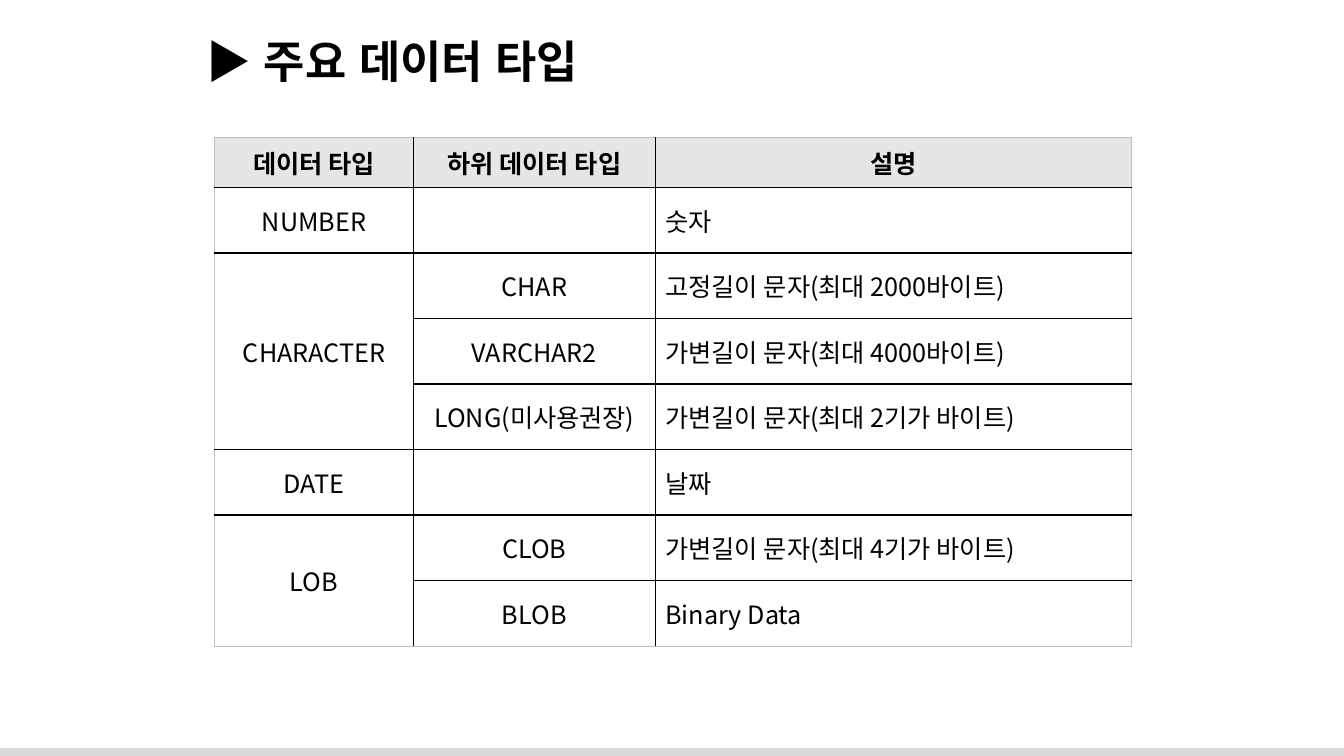
from dataclasses import dataclass

from lxml.etree import SubElement
from pptx import Presentation
from pptx.dml.color import RGBColor
from pptx.enum.shapes import MSO_SHAPE
from pptx.enum.text import MSO_ANCHOR, PP_ALIGN
from pptx.oxml.ns import qn
from pptx.util import Inches, Pt


@dataclass(frozen=True)
class Theme:
    """Colours, fonts and type sizes of the slide."""
    ink: str = "000000"
    header: str = "E7E6E6"
    frame: str = "BFBFBF"
    footer: str = "D9D9D9"
    title_font: str = "Arial"
    body_font: str = "Noto Sans CJK KR"
    title_size: int = 32
    body_size: int = 18


THEME = Theme()
COLUMN_WIDTHS = (1.97, 2.4, 4.72)
HEADER_HEIGHT, ROW_HEIGHT = 0.5, 0.65
DATA_TYPES = (
    ("데이터 타입", "하위 데이터 타입", "설명"),
    ("NUMBER", "", "숫자"),
    ("CHARACTER", "CHAR", "고정길이 문자(최대 2000바이트)"),
    ("", "VARCHAR2", "가변길이 문자(최대 4000바이트)"),
    ("", "LONG(미사용권장)", "가변길이 문자(최대 2기가 바이트)"),
    ("DATE", "", "날짜"),
    ("LOB", "CLOB", "가변길이 문자(최대 4기가 바이트)"),
    ("", "BLOB", "Binary Data"),
)
TYPE_GROUPS = ((2, 4), (6, 7))


def format_paragraph(para, typeface, size, bold, align):
    """Set alignment and one font for Latin and Korean text."""
    para.alignment = align
    font = para.font
    font.name, font.size, font.bold = typeface, Pt(size), bold
    font.color.rgb = RGBColor.from_string(THEME.ink)
    defaults = para._p.pPr.find(qn("a:defRPr"))
    SubElement(defaults, qn("a:ea"), typeface=typeface)


def add_title(page, text):
    """Place and format the title placeholder."""
    title = page.shapes.title
    title.left, title.top = Inches(1.95), Inches(0.28)
    title.width, title.height = Inches(9.45), Inches(0.64)
    frame = title.text_frame
    frame.text = text
    frame.vertical_anchor = MSO_ANCHOR.MIDDLE
    format_paragraph(frame.paragraphs[0], THEME.title_font, THEME.title_size,
                     True, PP_ALIGN.LEFT)


def add_footer_bar(page):
    """Draw the grey bar along the bottom edge."""
    bar = page.shapes.add_shape(MSO_SHAPE.RECTANGLE, 0, Inches(7.42),
                                Inches(13.33), Inches(0.08))
    bar.shadow.inherit = False
    bar.fill.solid()
    bar.fill.fore_color.rgb = RGBColor.from_string(THEME.footer)
    bar.line.fill.background()


def set_border(cell, side, on_frame):
    """Draw one cell edge, lighter on the outer frame."""
    width = Pt(0.5 if on_frame else 1)
    line = SubElement(cell._tc.get_or_add_tcPr(), qn(f"a:ln{side}"), w=str(width))
    fill = SubElement(line, qn("a:solidFill"))
    SubElement(fill, qn("a:srgbClr"), val=THEME.frame if on_frame else THEME.ink)


def format_cell(cell, row, column):
    """Style a cell according to its place in the table."""
    bottom = row + (cell.span_height if cell.is_merge_origin else 1)
    edges = {"L": column == 0, "R": column == len(COLUMN_WIDTHS) - 1,
             "T": row == 0, "B": bottom == len(DATA_TYPES)}
    for side, on_frame in edges.items():
        set_border(cell, side, on_frame)
    is_header = row == 0
    if is_header:
        cell.fill.solid()
        cell.fill.fore_color.rgb = RGBColor.from_string(THEME.header)
    else:
        cell.fill.background()
    cell.vertical_anchor = MSO_ANCHOR.MIDDLE
    is_description = column == 2 and not is_header
    format_paragraph(cell.text_frame.paragraphs[0], THEME.body_font,
                     THEME.body_size, is_header,
                     PP_ALIGN.LEFT if is_description else PP_ALIGN.CENTER)


def add_type_table(page):
    """Build the table of data types with merged groups."""
    height = HEADER_HEIGHT + ROW_HEIGHT * (len(DATA_TYPES) - 1)
    table = page.shapes.add_table(
        len(DATA_TYPES), len(COLUMN_WIDTHS), Inches(2.13), Inches(1.36),
        Inches(sum(COLUMN_WIDTHS)), Inches(height)).table
    for column, width in zip(table.columns, COLUMN_WIDTHS):
        column.width = Inches(width)
    for index, row in enumerate(table.rows):
        row.height = Inches(ROW_HEIGHT if index else HEADER_HEIGHT)
    for first, last in TYPE_GROUPS:
        table.cell(first, 0).merge(table.cell(last, 0))
    for row, texts in enumerate(DATA_TYPES):
        for column, text in enumerate(texts):
            cell = table.cell(row, column)
            cell.text = text
            format_cell(cell, row, column)


def main():
    """Create and save the slide."""
    deck = Presentation()
    deck.slide_width, deck.slide_height = Inches(13.33), Inches(7.5)
    page = deck.slides.add_slide(deck.slide_layouts[5])
    add_footer_bar(page)
    add_title(page, "▶ 주요 데이터 타입")
    add_type_table(page)
    deck.save("out.pptx")


main()
